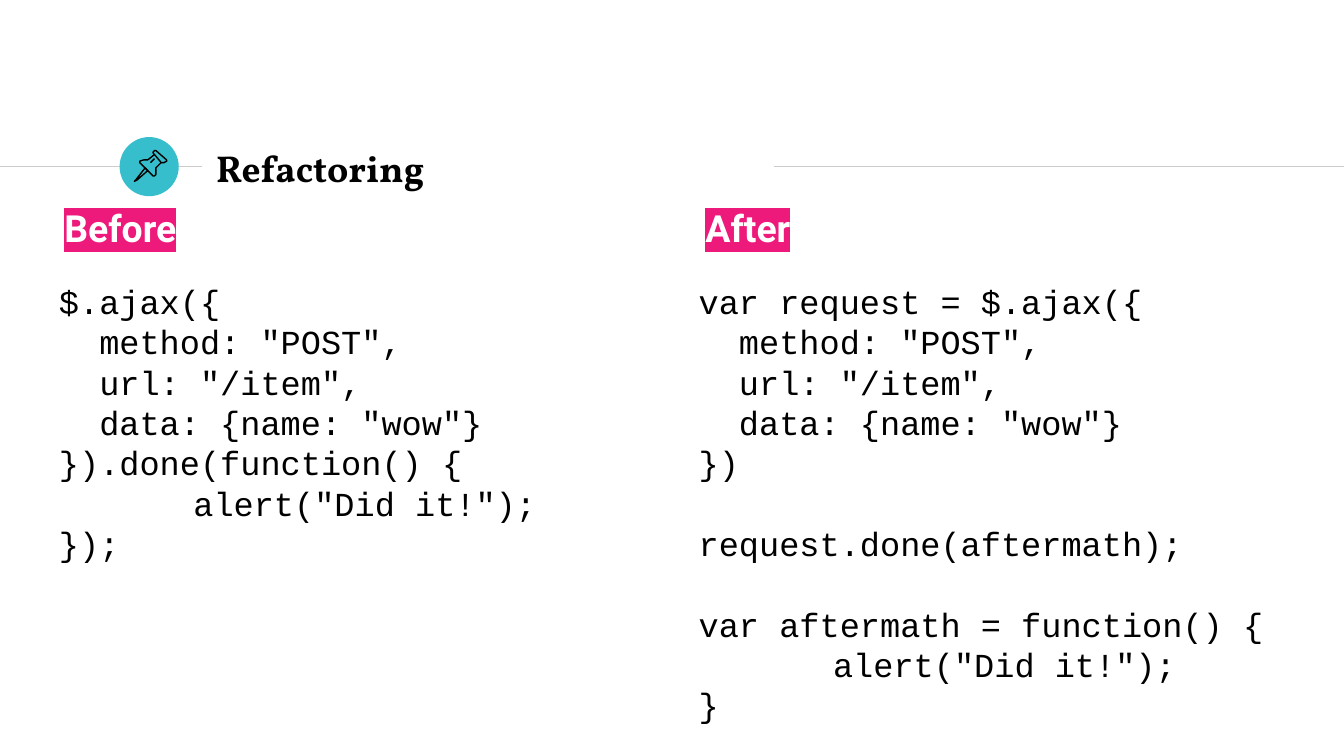
from lxml import etree
from pptx import Presentation, util as u
from pptx.dml.color import RGBColor
from pptx.enum import shapes, text
from pptx.oxml.ns import qn

deck = Presentation()
deck.slide_width = u.Inches(10)
deck.slide_height = deck.slide_width * 9 // 16
slide = deck.slides.add_slide(deck.slide_layouts[6])
cell = deck.slide_width // 1000
label_row, code_row = 143, 199
rule_row = 124
line_height = u.Pt(21.6)


def color(hex_value):
    return RGBColor.from_string(hex_value)


def write(content, left, top, width, height, font="Courier New", size=18, ink="000000",
          bold=False, highlight=None, anchor=text.MSO_ANCHOR.TOP, spacing=None):
    box = slide.shapes.add_textbox(left * cell, top * cell, width * cell, height * cell)
    frame = box.text_frame
    frame.word_wrap = True
    frame.vertical_anchor = anchor
    frame.margin_top = frame.margin_bottom = frame.margin_left = frame.margin_right = 10 * cell
    for b, block in enumerate(content.split("\n\n")):
        for n, line in enumerate(block.split("\n")):
            para = frame.paragraphs[0] if b == n == 0 else frame.add_paragraph()
            para.line_spacing = spacing
            if b and n == 0:
                para.space_before = spacing
            if line.startswith("\t"):
                stops = etree.SubElement(para._p.get_or_add_pPr(), qn("a:tabLst"))
                etree.SubElement(stops, qn("a:tab"), pos=str(100 * cell), algn="l")
            run = para.add_run()
            run.text = line
            run.font.name, run.font.size, run.font.bold = font, u.Pt(size), bold
            run.font.color.rgb = color(ink)
            if highlight:
                mark = etree.Element(qn("a:highlight"))
                etree.SubElement(mark, qn("a:srgbClr")).set("val", highlight)
                run._r.get_or_add_rPr().find(qn("a:solidFill")).addnext(mark)


for start, end in ((0, 150), (576, 1000)):
    rule = slide.shapes.add_connector(shapes.MSO_CONNECTOR.STRAIGHT, start * cell, rule_row * cell,
                                      end * cell, rule_row * cell)
    rule.line.color.rgb = color("CCCCCC")
    rule.line.width = u.Pt(0.75)
    etree.SubElement(rule._element.spPr, qn("a:effectLst"))

badge = slide.shapes.add_shape(shapes.MSO_SHAPE.OVAL, 89 * cell, 102 * cell, 44 * cell, 44 * cell)
badge.shadow.inherit = False
badge.fill.solid()
badge.fill.fore_color.rgb = color("37BECC")
badge.line.fill.background()

needle = [(108, 125), (101, 134), (100, 135), (102, 134), (110, 127)]
head = [(115, 115), (120, 121), (122, 121), (124, 120), (124, 119),
        (116, 112), (115, 112), (114, 113), (114, 114)]
collar = [(115, 115), (110, 119), (107, 119), (104, 120), (104, 121),
          (114, 131), (115, 131), (116, 130), (116, 125), (120, 121)]
shine = [(112, 121), (115, 118)]
for outline, closed in ((needle, True), (head, True), (collar, False), (shine, False)):
    builder = slide.shapes.build_freeform(*outline[0], scale=cell)
    builder.add_line_segments(outline[1:], close=closed)
    pin_part = builder.convert_to_shape()
    pin_part.shadow.inherit = False
    pin_part.fill.background()
    pin_part.line.color.rgb = color("000000")
    pin_part.line.width = u.Pt(0.75)

write("Refactoring", 151, 101, 424, 48, font="Vollkorn", size=20, bold=True,
      anchor=text.MSO_ANCHOR.MIDDLE)

request = """$.ajax({
  method: "POST",
  url: "/item",
  data: {name: "wow"}
})"""
alert = '\talert("Did it!");'
before_code = f"{request}.done(function() {{\n{alert}\n}});"
after_code = (f"var request = {request}\n\nrequest.done(aftermath);\n\n"
              f"var aftermath = function() {{\n{alert}\n}}")

for label, code, code_col, label_col in (("Before", before_code, 34, 38),
                                         ("After", after_code, 510, 515)):
    write(code, code_col, code_row, 515, 411, spacing=line_height)
    write(label, label_col, label_row, 232, 36, font="Roboto", size=20, ink="FFFFFF",
          bold=True, highlight="ED197B")

deck.save("out.pptx")
